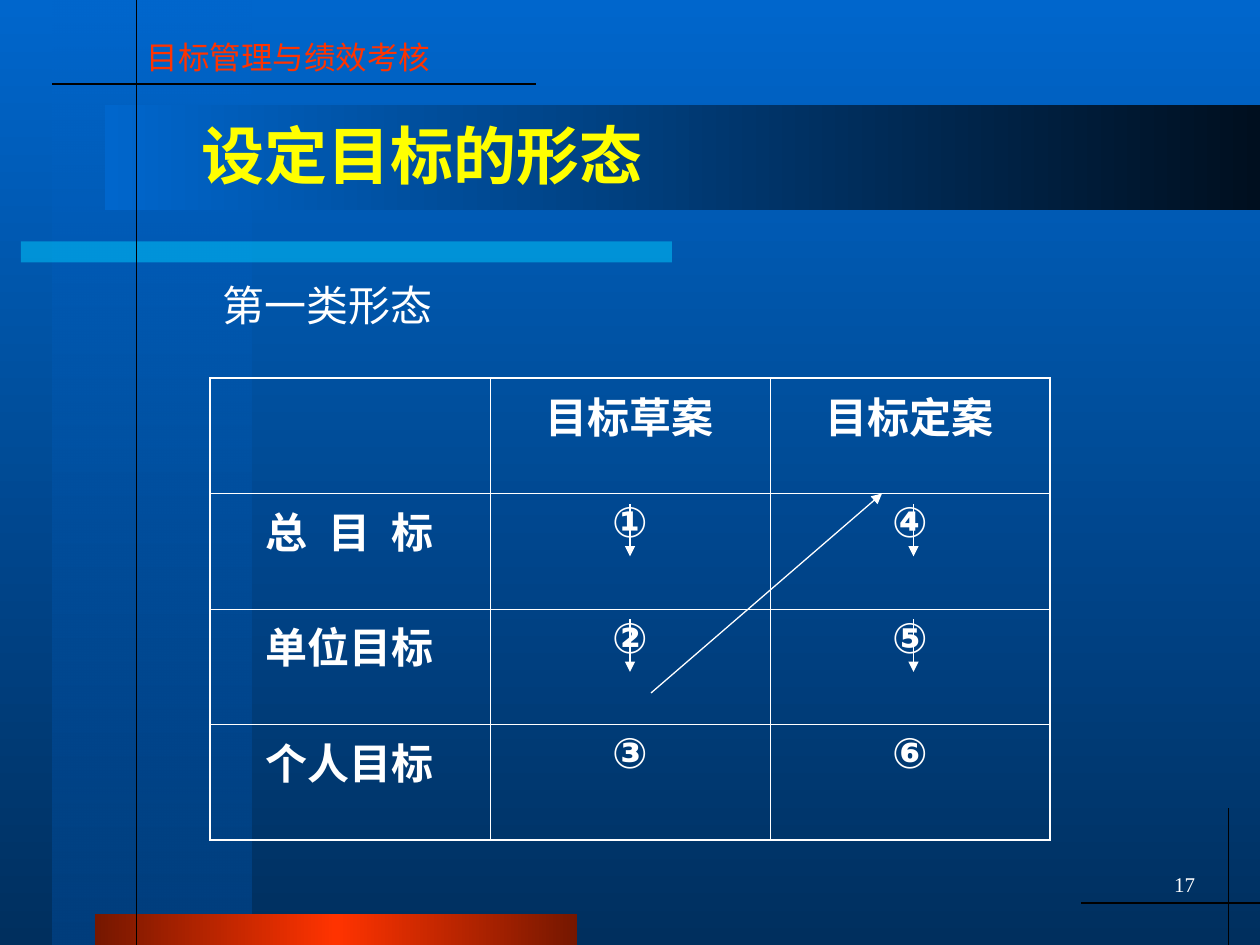
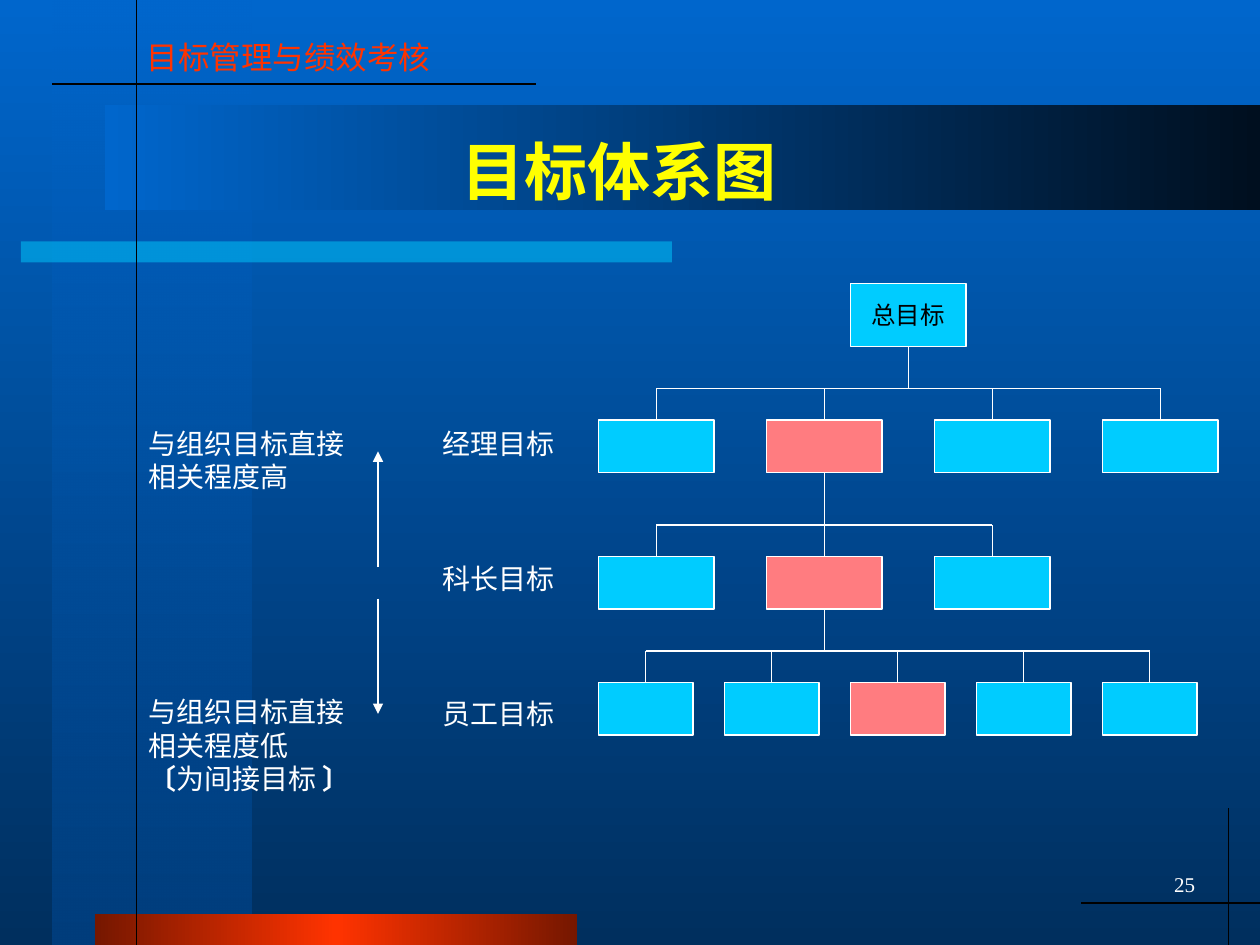
from lxml import etree
from pptx import Presentation
from pptx.dml.color import RGBColor
from pptx.enum.shapes import MSO_CONNECTOR, MSO_SHAPE
from pptx.enum.text import MSO_ANCHOR, MSO_AUTO_SIZE, PP_ALIGN
from pptx.oxml.ns import qn
from pptx.util import Inches, Pt

LEFT, CENTER, RIGHT = PP_ALIGN.LEFT, PP_ALIGN.CENTER, PP_ALIGN.RIGHT
TOP, MIDDLE, BOTTOM = MSO_ANCHOR.TOP, MSO_ANCHOR.MIDDLE, MSO_ANCHOR.BOTTOM
RECTANGLE, STRAIGHT = MSO_SHAPE.RECTANGLE, MSO_CONNECTOR.STRAIGHT
rgb = RGBColor.from_string

# The slide is a grid of 120 columns and 90 rows
CELL = Inches(1) // 12
WHITE, BLACK, YELLOW, RED = "FFFFFF", "000000", "FFFF00", "FF3300"
CYAN, PINK = "00CCFF", "FF7C80"
BLUE, NAVY = "0066CC", "002F5E"
TITLE_ONLY = 5


def write(frame, lines, size, color, bold=False, align=LEFT,
          font="Times New Roman", anchor=TOP, wrap=True):
    """Fill a text frame; each line is a list of run texts."""
    frame.word_wrap = wrap
    frame.auto_size = MSO_AUTO_SIZE.NONE
    frame.vertical_anchor = anchor
    for number, texts in enumerate(lines):
        paragraph = frame.add_paragraph() if number else frame.paragraphs[0]
        paragraph.alignment = align
        for text in texts:
            run = paragraph.add_run()
            run.text = text
            run.font.name = font
            run.font.size = Pt(size)
            run.font.bold = bold
            run.font.color.rgb = rgb(color)


def draw_line(slide, start, end, color=WHITE, arrow=False):
    connector = slide.shapes.add_connector(STRAIGHT, *start, *end)
    connector.line.color.rgb = rgb(color)
    connector.line.width = Pt(0.75)
    properties = connector.element.xpath("p:spPr")[0]
    if arrow:
        outline = properties.find(qn("a:ln"))
        etree.SubElement(outline, qn("a:tailEnd")).set("type", "triangle")
    etree.SubElement(properties, qn("a:effectLst"))
    return connector


prs = Presentation()
prs.slide_width, prs.slide_height = 120 * CELL, 90 * CELL
master = prs.slide_master
forms_slide, system_slide = [
    prs.slides.add_slide(prs.slide_layouts[TITLE_ONLY]) for _ in range(2)]

# Shared decoration: drawn once, then moved to the slide master
bands = []
for left, top, width, height in [(5, 0, 19, 90), (2, 23, 62, 2),
                                 (9, 87, 46, 3), (10, 10, 110, 10)]:
    band = forms_slide.shapes.add_shape(
        RECTANGLE, left * CELL, top * CELL, width * CELL, height * CELL)
    band.shadow.inherit = False
    band.line.fill.background()
    bands.append(band)
side_band, underline, foot_band, title_band = bands

underline.fill.solid()
underline.fill.fore_color.rgb = rgb(CYAN)
underline_color = underline.element.xpath("p:spPr/a:solidFill/a:srgbClr")[0]
etree.SubElement(underline_color, qn("a:alpha")).set("val", "50000")

# Each stop is position, colour and opacity in percent
gradients = [
    (master.background, 270, [(0, BLUE, 100), (100, NAVY, 100)]),
    (side_band, 270, [(0, BLUE, 50), (100, "003E7D", 100)]),
    (foot_band, 180, [(0, "751700", 100), (50, RED, 100), (100, "751700", 100)]),
    (title_band, 180, [(0, "000F1F", 100), (100, BLUE, 100)]),
]
for holder, angle, stops in gradients:
    holder.fill.gradient()
    holder.fill.gradient_angle = angle
    stop_list = holder.element.xpath(".//a:gsLst")[0]
    for default_stop in list(stop_list):
        stop_list.remove(default_stop)
    for position, color, opacity in stops:
        stop = etree.SubElement(stop_list, qn("a:gs"))
        stop.set("pos", str(position * 1000))
        stop_color = etree.SubElement(stop, qn("a:srgbClr"))
        stop_color.set("val", color)
        if opacity < 100:
            alpha = etree.SubElement(stop_color, qn("a:alpha"))
            alpha.set("val", str(opacity * 1000))

for x1, y1, x2, y2 in [(13, 0, 13, 90), (117, 77, 117, 90),
                       (120, 86, 103, 86), (51, 8, 5, 8)]:
    draw_line(forms_slide, (x1 * CELL, y1 * CELL), (x2 * CELL, y2 * CELL), BLACK)

course_name = forms_slide.shapes.add_textbox(13 * CELL, 3 * CELL, 29 * CELL, 5 * CELL)
write(course_name.text_frame, [["目标管理与绩效考核"]], 18, RED, align=CENTER, wrap=False)

shared = [shape for shape in forms_slide.shapes if not shape.is_placeholder]
for number, shape in enumerate(shared, 100):
    shape.element.xpath(".//p:cNvPr")[0].set("id", str(number))
    master.shapes.element.append(shape.element)

# Titles and page numbers
for slide, title, box, align, page in [
        (forms_slide, "设定目标的形态", (18, 10.5, 63, 8.4), LEFT, "17"),
        (system_slide, "目标体系图", (17, 12, 84, 8.4), CENTER, "25")]:
    heading = slide.shapes.title
    heading.left, heading.top, heading.width, heading.height = [
        round(length * CELL) for length in box]
    write(heading.text_frame, [[title]], 36, YELLOW, bold=True, align=align)
    page_number = slide.shapes.add_textbox(76 * CELL, 80 * CELL, 39 * CELL, 6 * CELL)
    write(page_number.text_frame, [[page]], 12, WHITE, align=RIGHT, anchor=BOTTOM)

# Forms of goal setting
subtitle = forms_slide.shapes.add_textbox(20 * CELL, 26 * CELL, 73 * CELL, 6 * CELL)
write(subtitle.text_frame, [["第一类形态"]], 24, WHITE)

goal_rows = [
    ["", "目标草案", "目标定案"],
    ["总 目 标", "①", "④"],
    ["单位目标", "②", "⑤"],
    ["个人目标", "③", "⑥"],
]
last_row, last_column = len(goal_rows) - 1, len(goal_rows[0]) - 1
goal_frame = forms_slide.shapes.add_table(
    last_row + 1, last_column + 1, 20 * CELL, 36 * CELL, 80 * CELL, 44 * CELL)
goals = goal_frame.table
goals.first_row = goals.horz_banding = False
cell_elements = iter(goal_frame.element.xpath(".//a:tc"))
for r, texts in enumerate(goal_rows):
    for c, text in enumerate(texts):
        cell = goals.cell(r, c)
        if text:
            write(cell.text_frame, [[text]], 24, WHITE, bold=True,
                  align=CENTER, font="Arial")
        cell_properties = next(cell_elements).get_or_add_tcPr()
        for side, is_outer in [("L", c == 0), ("R", c == last_column),
                               ("T", r == 0), ("B", r == last_row)]:
            border = etree.SubElement(cell_properties, qn("a:ln" + side))
            border.set("w", str(Pt(1.08 if is_outer else 0.45)))
            border_fill = etree.SubElement(border, qn("a:solidFill"))
            etree.SubElement(border_fill, qn("a:srgbClr")).set("val", WHITE)
        cell.fill.background()
# Wider letter spacing makes this label as long as the other two
spaced_label = goal_frame.element.xpath('.//a:r[a:t="总 目 标"]/a:rPr')[0]
spaced_label.set("spc", "330")

order_arrows = [(x, y, x, y + 5) for x in (60, 87) for y in (48, 59)]
for x1, y1, x2, y2 in order_arrows + [(62, 66, 84, 47)]:
    draw_line(forms_slide, (x1 * CELL, y1 * CELL), (x2 * CELL, y2 * CELL), arrow=True)

# Goal system: every level hangs below the highlighted goal of the level above
levels = [
    # left, step, width, top, height, count, highlighted
    (81, 0, 11, 27, 6, 1, 0),
    (57, 16, 11, 40, 5, 4, 1),
    (57, 16, 11, 53, 5, 3, 1),
    (57, 12, 9, 65, 5, 5, 2),
]
parent = None
for left, step, width, top, height, count, highlighted in levels:
    goal_boxes = []
    for i in range(count):
        goal = system_slide.shapes.add_shape(
            RECTANGLE, (left + i * step) * CELL, top * CELL,
            width * CELL, height * CELL)
        goal.shadow.inherit = False
        goal.fill.solid()
        goal.fill.fore_color.rgb = rgb(PINK if parent and i == highlighted else CYAN)
        goal.line.color.rgb = rgb(WHITE)
        goal.line.width = Pt(0.75)
        goal_boxes.append(goal)
    if parent:
        bar = (top - 3) * CELL
        parent_x = parent.left + parent.width // 2
        stem = draw_line(system_slide, (parent_x, parent.top + parent.height),
                         (parent_x, bar))
        stem.begin_connect(parent, 2)
        centers = [goal.left + goal.width // 2 for goal in goal_boxes]
        draw_line(system_slide, (centers[0], bar), (centers[-1], bar))
        for goal, x in zip(goal_boxes, centers):
            draw_line(system_slide, (x, bar), (x, goal.top)).end_connect(goal, 0)
    else:
        write(goal_boxes[0].text_frame, [["总目标"]], 14, BLACK, align=CENTER,
              anchor=MIDDLE, wrap=False)
    parent = goal_boxes[highlighted]

level_names = system_slide.shapes.add_textbox(
    41 * CELL, 40 * CELL, 13 * CELL, 30 * CELL).text_frame
write(level_names, [["经理目标"], ["科长目标"], ["员工目标"]], 16, WHITE, wrap=False)
for paragraph in level_names.paragraphs[1:]:
    paragraph.space_before = Pt(58)

relevance = system_slide.shapes.add_textbox(
    13 * CELL, 40 * CELL, 22 * CELL, 40 * CELL).text_frame
write(relevance, [["与组织目标直接"], ["相关程度高"], ["与组织目标直接"],
                  ["相关程度低"], ["〔", "为间接目标", " 〕"]], 16, WHITE, wrap=False)
relevance.paragraphs[2].space_before = Pt(115)
for bracket in relevance.paragraphs[-1].runs[::2]:
    bracket.font.bold = True

for start, end in [(57, 68), (54, 43)]:
    draw_line(system_slide, (36 * CELL, start * CELL), (36 * CELL, end * CELL), arrow=True)

prs.save("out.pptx")
